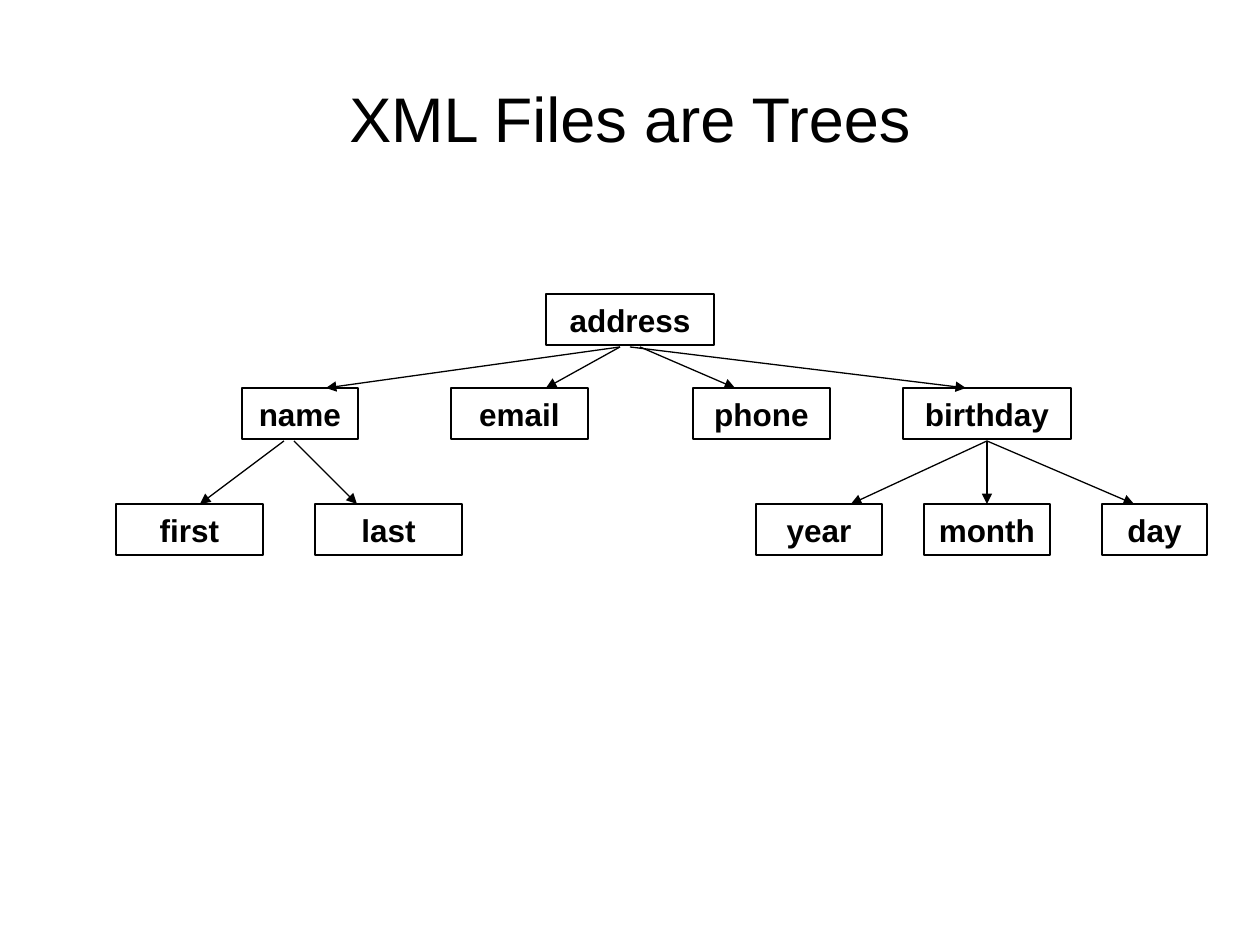
from lxml.etree import SubElement
from pptx import Presentation
from pptx.dml.color import RGBColor
from pptx.enum.shapes import MSO_CONNECTOR, MSO_SHAPE
from pptx.enum.text import MSO_ANCHOR, PP_ALIGN
from pptx.oxml.ns import qn
from pptx.util import Emu, Pt

SCALE = 914400 // 126
BLACK = "000000"
LINE_WIDTH = 0.74
NODE_HEIGHT = 51
ARROW_DROP = 53
LEVEL_TOPS = (0, 94, 210)

NODES = [
    ("address", 0, 430, 168),
    ("name", 1, 126, 116),
    ("email", 1, 335, 137),
    ("phone", 1, 577, 137),
    ("birthday", 1, 787, 168),
    ("first", 2, 0, 147),
    ("last", 2, 199, 147),
    ("year", 2, 640, 126),
    ("month", 2, 808, 126),
    ("day", 2, 986, 105),
]
BRANCHES = [
    (0, 504, 210),
    (0, 504, 430),
    (0, 524, 619),
    (0, 514, 850),
    (1, 168, 84),
    (1, 178, 241),
    (1, 871, 735),
    (1, 871, 871),
    (1, 871, 1018),
]


def px(length):
    return Emu(length * SCALE)


def color(value):
    return RGBColor.from_string(value)


def set_text(holder, text, size, bold=False, font="Arial", fill=BLACK):
    frame = holder.text_frame
    frame.word_wrap = True
    frame.vertical_anchor = MSO_ANCHOR.MIDDLE
    paragraph = frame.paragraphs[0]
    paragraph.alignment = PP_ALIGN.CENTER
    run = paragraph.add_run()
    run.text = text
    run.font.name = font
    run.font.size = Pt(size)
    run.font.bold = bold
    run.font.color.rgb = color(fill)


def style_line(line):
    line.color.rgb = color(BLACK)
    line.width = Pt(LINE_WIDTH)


def add_title(slide, left, top, width, height):
    title = slide.shapes.add_textbox(px(left), px(top), px(width), px(height))
    set_text(title, "XML Files are Trees", size=36)


def add_node(slide, name, left, top, width):
    node = slide.shapes.add_shape(
        MSO_SHAPE.RECTANGLE, px(left), px(top), px(width), px(NODE_HEIGHT))
    node.shadow.inherit = False
    node.fill.background()
    style_line(node.line)
    set_text(node, name, size=18, bold=True)


def add_branch(slide, start_x, start_y, end_x, end_y):
    branch = slide.shapes.add_connector(
        MSO_CONNECTOR.STRAIGHT, px(start_x), px(start_y), px(end_x), px(end_y))
    style_line(branch.line)
    properties = branch.line._get_or_add_ln()
    SubElement(properties, qn("a:tailEnd"), type="triangle")
    SubElement(branch._element.spPr, qn("a:effectLst"))


def add_tree(slide, left, top):
    for name, level, x, width in NODES:
        add_node(slide, name, left + x, top + LEVEL_TOPS[level], width)
    for level, start_x, end_x in BRANCHES:
        add_branch(slide, left + start_x, top + LEVEL_TOPS[level] + ARROW_DROP,
                   left + end_x, top + LEVEL_TOPS[level + 1])


deck = Presentation()
deck.slide_width = px(1260)
deck.slide_height = px(945)
tree_slide = deck.slides.add_slide(deck.slide_layouts[6])
add_title(tree_slide, 63, 38, 1134, 158)
add_tree(tree_slide, 116, 294)
deck.save("out.pptx")
